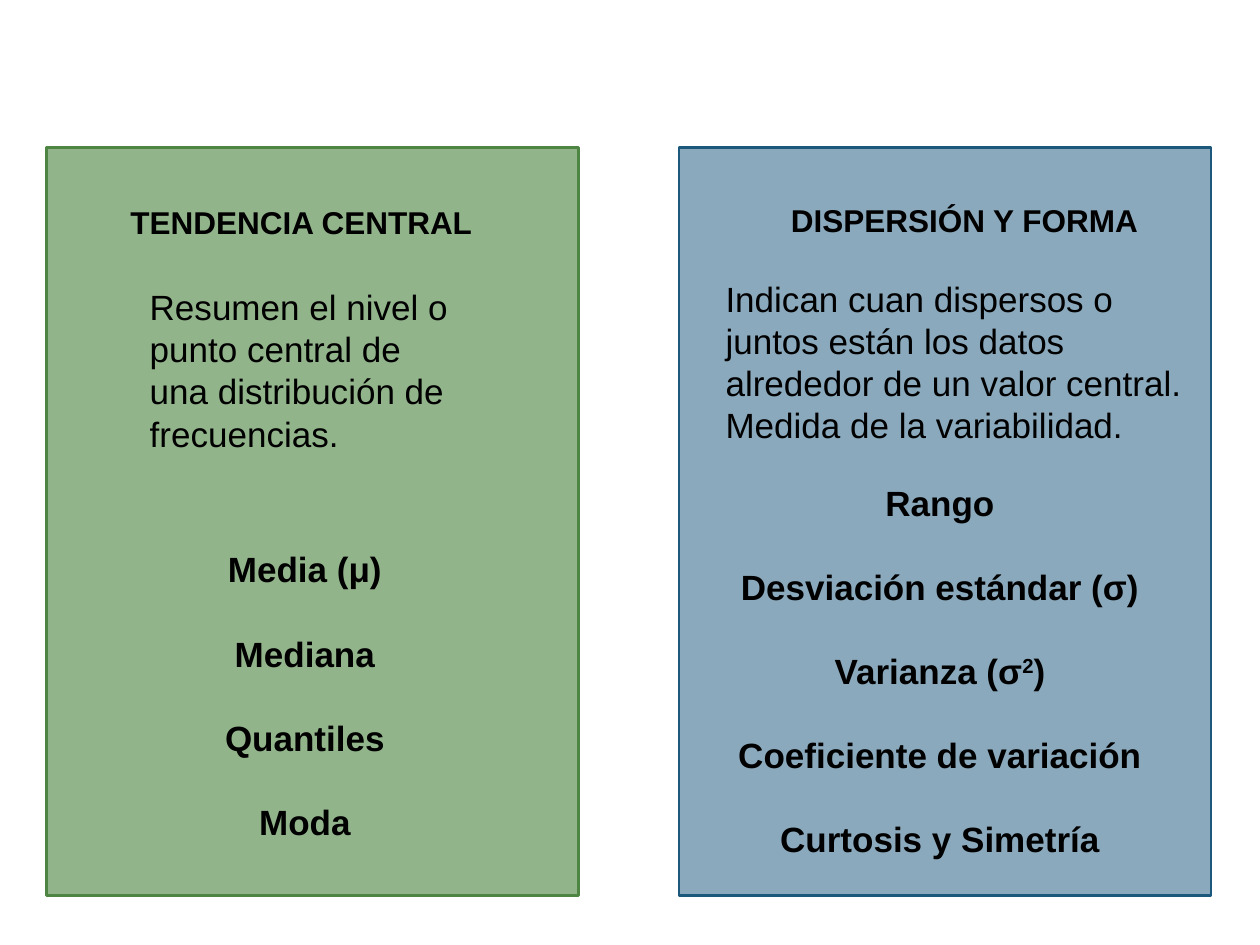
from pptx import Presentation
from pptx.dml.color import RGBColor
from pptx.enum import shapes, text
from pptx.oxml import xmlchemy as xc
from pptx.util import Pt
from lxml import etree
from pptx.oxml.ns import qn

HUES = {"green": "4E8542", "blue": "1B587C", "ink": "000000"}
FONT = "Arial"
MID = text.PP_ALIGN.CENTER


def add_panel(slide, left, hue, alpha):
    """Tall tinted panel; alpha is the opacity in percent."""
    box = slide.shapes.add_shape(
        shapes.MSO_SHAPE.RECTANGLE, Pt(left), Pt(84.24), Pt(303.84), Pt(427.68))
    box.shadow.inherit = False
    color = RGBColor.from_string(HUES[hue])
    box.fill.solid()
    box.fill.fore_color.rgb = color
    box.line.color.rgb = color
    box.line.width = Pt(1.5)
    tint = box.fill._xPr.find(qn("a:solidFill"))[0]
    etree.SubElement(tint, qn("a:alpha")).set("val", str(alpha * 1000))


def add_run(para, words, size, bold, raised=False):
    run = para.add_run()
    run.text = words
    font = run.font
    font.name, font.size, font.bold = FONT, Pt(size), bold
    font.color.rgb = RGBColor.from_string(HUES["ink"])
    if raised:
        font._element.set("baseline", "30000")


def add_text(slide, area, paras, size=20, bold=True, align=MID):
    """Each paragraph is a list of runs; every second run is superscript."""
    box = slide.shapes.add_textbox(*map(Pt, area))
    frame = box.text_frame
    frame.word_wrap = True
    frame.auto_size = text.MSO_AUTO_SIZE.SHAPE_TO_FIT_TEXT
    for i, runs in enumerate(paras):
        para = frame.add_paragraph() if i else frame.paragraphs[0]
        para.alignment = align
        if i:
            para.space_before = Pt(24)
        for j, words in enumerate(runs):
            add_run(para, words, size, bold, raised=j % 2 == 1)


def add_title(slide, left, top, words):
    add_text(slide, (left, top, 225.36, 28.8), [[words]], size=18)


def add_note(slide, left, top, width, words):
    add_text(slide, (left, top, width, 104.4), [[words]],
             bold=False, align=text.PP_ALIGN.LEFT)


def main():
    deck = Presentation()
    deck.slide_width, deck.slide_height = Pt(720), Pt(540)
    slide = deck.slides.add_slide(deck.slide_layouts[6])

    # Panels
    add_panel(slide, 26.64, "green", 61)
    add_panel(slide, 388.08, "blue", 51)

    # Central tendency
    add_title(slide, 61.92, 112.32, "TENDENCIA CENTRAL ")
    add_note(slide, 78.48, 159.84, 191.52,
             "Resumen el nivel o punto central de una distribución de frecuencias.")
    add_text(slide, (78.48, 309.6, 191.52, 177.12),
             [["Media (μ)"], ["Mediana"], ["Quantiles"], ["Moda"]])

    # Dispersion and shape
    add_title(slide, 438.48, 111.6, "DISPERSIÓN Y FORMA")
    add_note(slide, 407.52, 154.8, 281.52,
             "Indican cuan dispersos o juntos están los datos alrededor de un "
             "valor central. Medida de la variabilidad.")
    add_text(slide, (410.4, 271.44, 253.44, 249.84),
             [["Rango"], ["Desviación estándar (σ)"], ["Varianza (σ", "2", ")"],
              ["Coeficiente de variación"], ["Curtosis y Simetría"]])

    deck.save("out.pptx")


if __name__ == "__main__":
    main()
